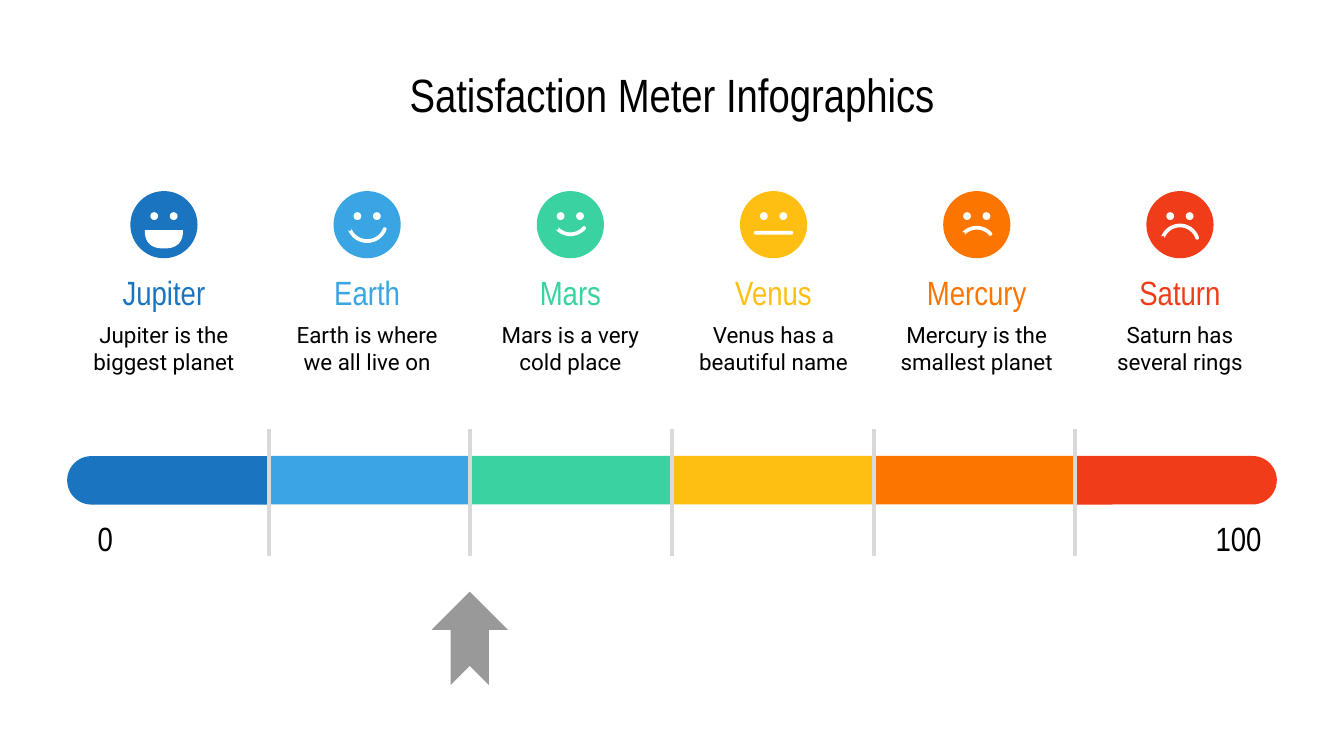
import math
from pptx import Presentation
from pptx.dml.color import RGBColor
from pptx.enum import shapes, text
from pptx.oxml import ns
from pptx import util as u
from lxml import etree

Pt = u.Pt
BLACK = RGBColor(0x00, 0x00, 0x00)
WHITE = RGBColor(0xFF, 0xFF, 0xFF)
DIVIDER = RGBColor(0xD9, 0xD9, 0xD9)
POINTER = RGBColor(0x99, 0x99, 0x99)
BLUE = RGBColor(0x1A, 0x74, 0xBF)
SKY = RGBColor(0x39, 0xA6, 0xE3)
GREEN = RGBColor(0x39, 0xD2, 0xA0)
YELLOW = RGBColor(0xFF, 0xBE, 0x12)
ORANGE = RGBColor(0xFC, 0x75, 0x00)
RED = RGBColor(0xF1, 0x3C, 0x19)
HEADING, BODY = "Arial Narrow", "Roboto"
FACE = 36

# name, description, colour, mouth: half width, depth (negative frowns), top
LEVELS = [
    ("Jupiter", "Jupiter is the biggest planet", BLUE, None),
    ("Earth", "Earth is where we all live on", SKY, (9.4, 6.4, 20.4)),
    ("Mars", "Mars is a very cold place", GREEN, (7.3, 3.3, 19.8)),
    ("Venus", "Venus has a beautiful name", YELLOW, (9.6, 0, 22.3)),
    ("Mercury", "Mercury is the smallest planet", ORANGE, (7.3, -3.3, 19.6)),
    ("Saturn", "Saturn has several rings", RED, (9.2, -6.6, 18.4)),
]


def paint(shape, color):
    shape.shadow.inherit = False
    shape.fill.solid()
    shape.fill.fore_color.rgb = color
    shape.line.fill.background()


def add_block(parent, kind, left, top, width, height, color):
    shape = parent.shapes.add_shape(kind, Pt(left), Pt(top), Pt(width), Pt(height))
    paint(shape, color)
    return shape


def add_outline(parent, points, color):
    corners = [(Pt(x), Pt(y)) for x, y in points]
    builder = parent.shapes.build_freeform(*corners[0], scale=1.0)
    builder.add_line_segments(corners[1:], close=True)
    paint(builder.convert_to_shape(), color)


def add_label(parent, left, top, width, height, words, font, size, color,
              anchor=text.MSO_ANCHOR.TOP):
    box = parent.shapes.add_textbox(Pt(left), Pt(top), Pt(width), Pt(height))
    frame = box.text_frame
    frame.word_wrap = True
    frame.vertical_anchor = anchor
    frame.margin_left = frame.margin_right = Pt(7.2)
    frame.margin_top = frame.margin_bottom = Pt(7.2)
    para = frame.paragraphs[0]
    para.alignment = text.PP_ALIGN.CENTER
    span = para.add_run()
    span.text = words
    span.font.name = font
    span.font.size = Pt(size)
    span.font.color.rgb = color


def curved_mouth(half, depth):
    """Outline of a round-ended smile, 2 pt thick, hanging from (0, 0)."""
    radius = (half ** 2 + depth ** 2) / (2 * depth)
    center = depth - radius
    reach = math.atan2(half, -center)

    def sweep(x, y, r, start, end, steps=16):
        angles = [start + (end - start) * i / steps for i in range(steps + 1)]
        return [(x + r * math.sin(a), y + r * math.cos(a)) for a in angles]

    return (sweep(0, center, radius + 1, -reach, reach)
            + sweep(half, 0, 1, reach, reach + math.pi)
            + sweep(0, center, radius - 1, reach, -reach)
            + sweep(-half, 0, 1, math.pi - reach, -reach))


def add_face(parent, left, top, color, mouth):
    oval = shapes.MSO_SHAPE.OVAL
    middle = left + FACE / 2
    add_block(parent, oval, left, top, FACE, FACE, color)
    for side in (-5.2, 5.2):
        add_block(parent, oval, middle + side - 2.1, top + 11.3, 4.2, 4.2, WHITE)
    if mouth is None:
        # Open laugh: a half disc with a flattened bottom
        angles = [math.pi * i / 32 for i in range(33)]
        add_outline(parent, [
            (middle + math.copysign(10.2 * abs(math.cos(a)) ** 0.8, math.cos(a)),
             top + 20.9 + 9.8 * math.sin(a) ** 0.8) for a in angles], WHITE)
        return
    half, depth, drop = mouth
    if depth == 0:
        bar = add_block(parent, shapes.MSO_SHAPE.ROUNDED_RECTANGLE,
                        middle - half - 1, top + drop - 1, 2 * half + 2, 2, WHITE)
        bar.adjustments[0] = 0.5
        return
    flip = 1 if depth > 0 else -1
    base = top + drop + max(0, -depth)
    add_outline(parent, [(middle + x, base + flip * y)
                         for x, y in curved_mouth(half, abs(depth))], WHITE)


def add_level(page, left, top, width, level):
    name, description, color, mouth = level
    group = page.shapes.add_group_shape()
    add_label(group, left, top + 36, width, 26, name, HEADING, 18, color)
    add_label(group, left, top + 62.5, width, 39.5, description, BODY, 12, BLACK)
    add_face(group, left + (width - FACE) / 2, top, color, mouth)


def add_meter(page, left, top, width, height):
    group = page.shapes.add_group_shape()
    step = width / len(LEVELS)
    last = len(LEVELS) - 1
    # Coloured segments, with a turned half-round cap at either end
    for i, level in enumerate(LEVELS):
        x = left + i * step
        if 0 < i < last:
            add_block(group, shapes.MSO_SHAPE.RECTANGLE, x, top, step, height, level[2])
            continue
        cap = add_block(group, shapes.MSO_SHAPE.ROUND_2_SAME_RECTANGLE,
                        x + (step - height) / 2, top + (height - step) / 2,
                        height, step, level[2])
        cap.adjustments[0], cap.adjustments[1] = 0.5, 0
        cap.rotation = 270 if i == 0 else 90
    # Scale ends
    for words, x in (("0", left), ("100", left + width - 41)):
        add_label(group, x, top + 31, 41, 26, words, HEADING, 18, BLACK,
                  text.MSO_ANCHOR.MIDDLE)
    # Dividers
    for i in range(1, len(LEVELS)):
        x = Pt(left + i * step)
        line = group.shapes.add_connector(shapes.MSO_CONNECTOR.STRAIGHT,
                                          x, Pt(top + 53.5), x, Pt(top - 14.5))
        line.line.color.rgb = DIVIDER
        line.line.width = Pt(2.25)
        etree.SubElement(line._element.spPr, ns.qn("a:effectLst"))


def add_pointer(page, middle, top, width, height):
    arrow = add_block(page, shapes.MSO_SHAPE.NOTCHED_RIGHT_ARROW,
                      middle - height / 2, top + (height - width) / 2,
                      height, width, POINTER)
    arrow.adjustments[0], arrow.adjustments[1] = 0.5, 0.5
    arrow.rotation = 270


def main():
    deck = Presentation()
    deck.slide_width, deck.slide_height = Pt(720), Pt(405)
    page = deck.slides.add_slide(deck.slide_layouts[6])
    left, width, column = 36, 648, 103.7
    add_label(page, left, 32.5, width, 36, "Satisfaction Meter Infographics",
              HEADING, 25, BLACK, text.MSO_ANCHOR.MIDDLE)
    add_meter(page, left, 244.3, width, 26)
    add_pointer(page, 251.7, 317, 41, 50)
    pitch = (width - column) / (len(LEVELS) - 1)
    for i, level in enumerate(LEVELS):
        add_level(page, left + i * pitch, 102.4, column, level)
    deck.save("out.pptx")


if __name__ == "__main__":
    main()
